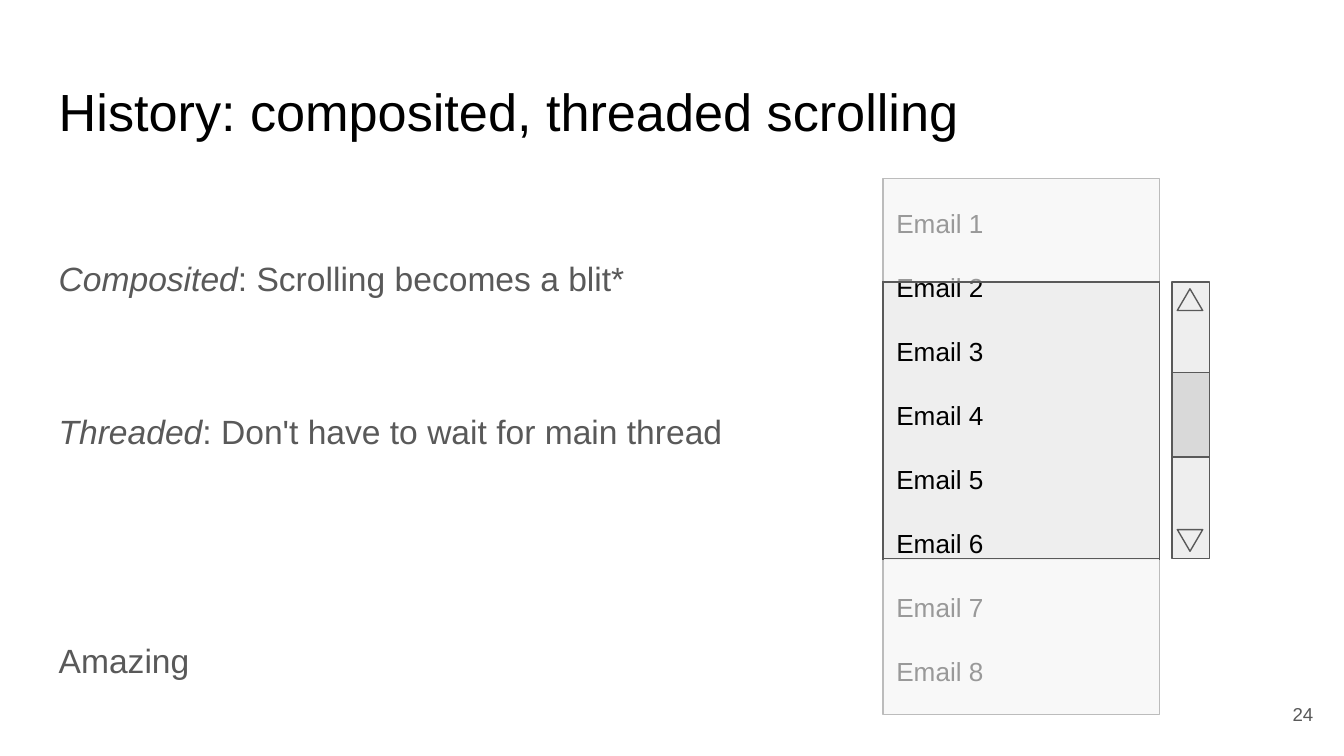
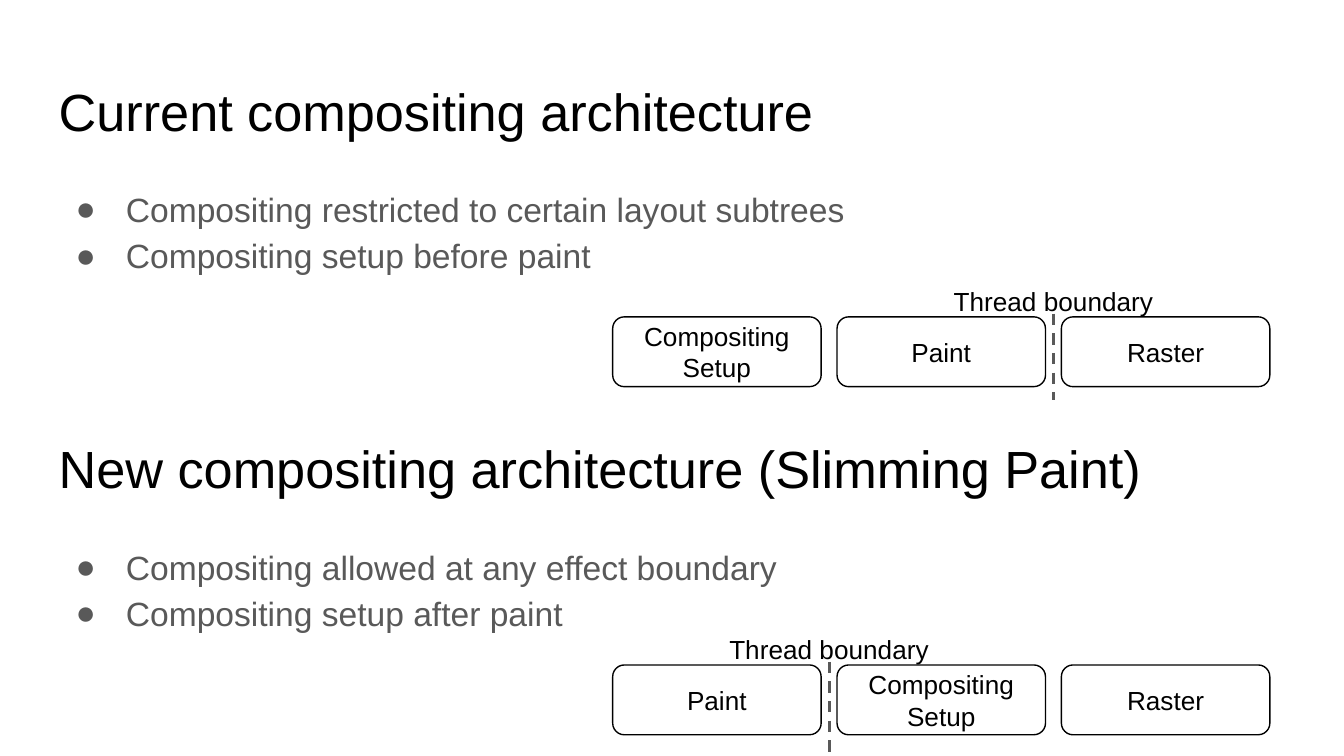
from pptx import Presentation
from pptx.dml.color import RGBColor
from pptx.enum.dml import MSO_LINE_DASH_STYLE as Dash
from pptx.enum.shapes import MSO_CONNECTOR as Connector, MSO_SHAPE as Preset
from pptx.enum.text import MSO_ANCHOR as Anchor, MSO_AUTO_SIZE as AutoSize, PP_ALIGN as Align
from pptx.oxml.ns import qn
from pptx.util import Cm, Pt
from lxml.etree import SubElement

BLACK, WHITE, GRAY, PALE, THUMB = "000000", "FFFFFF", "595959", "EEEEEE", "D9D9D9"
FONT = "Arial"
INSET = 0.25
LEFT, FULL_WIDTH = 0.86, 23.67

TITLE_STYLE = {"size": 28, "color": BLACK}
BODY_STYLE = {"size": 18, "color": GRAY}
LABEL_STYLE = {"size": 14, "color": BLACK}
NUMBER_STYLE = {"size": 10, "color": GRAY}

# Scrolling slide: (italic term, rest of the line, space before in points)
SCROLLING_TITLE = "History: composited, threaded scrolling"
SCROLLING_LINES = [
    ("Composited", ": Scrolling becomes a blit*", 0),
    ("Threaded", ": Don't have to wait for main thread", 57),
    ("", "Amazing", 98),
]
EMAILS = [f"Email {number}" for number in range(1, 9)]
EMAIL_GAP = 17.5
SLIDE_NUMBER = "24"

# (preset, box, fill, line colour, opacity in percent, rotation)
SCROLLER_PARTS = [
    (Preset.RECTANGLE, (16.69, 5.33, 5.23, 5.23), None, GRAY, 100, 0),
    (Preset.RECTANGLE, (22.15, 5.33, 0.71, 5.23), PALE, GRAY, 100, 0),
    (Preset.ISOSCELES_TRIANGLE, (22.25, 5.46, 0.48, 0.41), PALE, GRAY, 100, 0),
    (Preset.ISOSCELES_TRIANGLE, (22.25, 10.01, 0.48, 0.41), PALE, GRAY, 100, 180),
    (Preset.RECTANGLE, (16.66, 2.97, 6.1, 2.34), WHITE, None, 60, 0),
    (Preset.RECTANGLE, (22.15, 7.04, 0.71, 1.6), THUMB, GRAY, 100, 0),
    (Preset.RECTANGLE, (16.66, 10.59, 6.17, 3.1), WHITE, None, 60, 0),
]

# Architecture slide: the thread boundary stands before the stage with that index
ARCHITECTURES = [
    {
        "title": "Current compositing architecture",
        "bullets": ["Compositing restricted to certain layout subtrees",
                    "Compositing setup before paint"],
        "stages": [["Compositing", "Setup"], ["Paint"], ["Raster"]],
        "boundary": 2,
        "title_top": 1.24, "stage_top": 5.99, "boundary_bottom": 7.57,
    },
    {
        "title": "New compositing architecture (Slimming Paint)",
        "bullets": ["Compositing allowed at any effect boundary",
                    "Compositing setup after paint"],
        "stages": [["Paint"], ["Compositing", "Setup"], ["Raster"]],
        "boundary": 1,
        "title_top": 8.0, "stage_top": 12.57, "boundary_bottom": 14.73,
    },
]
STAGE_LEFT, STAGE_WIDTH, STAGE_HEIGHT, STAGE_GAP = 11.58, 3.94, 1.32, 0.3


def rgb(color):
    return RGBColor.from_string(color)


def lengths(box):
    return [Cm(value) for value in box]


def set_frame(shape, anchor=Anchor.TOP, top_inset=INSET):
    frame = shape.text_frame
    settings = {
        "word_wrap": True, "auto_size": AutoSize.NONE, "vertical_anchor": anchor,
        "margin_left": Cm(INSET), "margin_right": Cm(INSET),
        "margin_top": Cm(top_inset), "margin_bottom": Cm(INSET),
    }
    for name, value in settings.items():
        setattr(frame, name, value)
    return frame


def add_run(paragraph, text, style, italic=False):
    run = paragraph.add_run()
    run.text = text
    settings = {"name": FONT, "size": Pt(style["size"]), "italic": italic}
    for name, value in settings.items():
        setattr(run.font, name, value)
    run.font.color.rgb = rgb(style["color"])


def write_lines(frame, lines, style, **paragraph_format):
    """Write one paragraph per line; a line is a list of (text, italic) runs or a string."""
    paragraphs = []
    for index, line in enumerate(lines):
        paragraph = frame.add_paragraph() if index else frame.paragraphs[0]
        for name, value in paragraph_format.items():
            setattr(paragraph, name, value)
        for text, italic in [(line, False)] if isinstance(line, str) else line:
            add_run(paragraph, text, style, italic)
        paragraphs.append(paragraph)
    return paragraphs


def add_text(shapes, box, lines, style, anchor=Anchor.TOP, top_inset=INSET, **paragraph_format):
    frame = set_frame(shapes.add_textbox(*lengths(box)), anchor, top_inset)
    return write_lines(frame, lines, style, **paragraph_format)


def add_preset(shapes, preset, box, fill, line, opacity=100, rotation=0):
    shape = shapes.add_shape(preset, *lengths(box))
    shape.shadow.inherit = False
    shape.rotation = rotation
    if fill:
        shape.fill.solid()
        shape.fill.fore_color.rgb = rgb(fill)
        if opacity < 100:
            color = shape.fill._xPr.find(qn("a:solidFill"))[0]
            SubElement(color, qn("a:alpha"), val=str(opacity * 1000))
    else:
        shape.fill.background()
    if line:
        shape.line.color.rgb = rgb(line)
        shape.line.width = Pt(0.75)
    else:
        shape.line.fill.background()
    return shape


def add_slide(presentation, title):
    slide = presentation.slides.add_slide(presentation.slide_layouts[5])
    placeholder = slide.shapes.title
    box = lengths((LEFT, 1.24, FULL_WIDTH, 1.6))
    for name, value in zip(("left", "top", "width", "height"), box):
        setattr(placeholder, name, value)
    write_lines(set_frame(placeholder), [title], TITLE_STYLE, alignment=Align.LEFT)
    return slide


def add_bullets(shapes, box, lines):
    for paragraph in add_text(shapes, box, lines, BODY_STYLE, line_spacing=1.15):
        properties = paragraph._p.get_or_add_pPr()
        properties.set("marL", str(Cm(1.27)))
        properties.set("indent", str(-Cm(0.95)))
        bullet_color = SubElement(properties, qn("a:buClr"))
        SubElement(bullet_color, qn("a:srgbClr"), val=GRAY)
        SubElement(properties, qn("a:buFont"), typeface=FONT)
        SubElement(properties, qn("a:buChar"), char="●")


def add_boundary(slide, center, stage_top, bottom):
    shapes = slide.shapes.add_group_shape().shapes
    ends = lengths((center, stage_top - 0.06, center, bottom))
    connector = shapes.add_connector(Connector.STRAIGHT, *ends)
    connector.line.color.rgb = rgb(GRAY)
    connector.line.width = Pt(1.5)
    connector.line.dash_style = Dash.DASH
    SubElement(connector._element.spPr, qn("a:effectLst"))
    width = 5.44
    add_text(shapes, (center - width / 2, stage_top - 0.87, width, 1.12),
             ["Thread boundary"], LABEL_STYLE, Anchor.BOTTOM, alignment=Align.CENTER)


def add_pipeline(slide, architecture):
    top = architecture["stage_top"]
    pitch = STAGE_WIDTH + STAGE_GAP
    for index, stage in enumerate(architecture["stages"]):
        box = (STAGE_LEFT + index * pitch, top, STAGE_WIDTH, STAGE_HEIGHT)
        fill = None if stage == ["Raster"] else WHITE
        shape = add_preset(slide.shapes, Preset.ROUNDED_RECTANGLE, box, fill, BLACK)
        write_lines(set_frame(shape, Anchor.MIDDLE), stage, LABEL_STYLE, alignment=Align.CENTER)
    center = STAGE_LEFT + architecture["boundary"] * pitch - STAGE_GAP / 2
    add_boundary(slide, center, top, architecture["boundary_bottom"])


def build_scrolling_slide(presentation):
    slide = add_slide(presentation, SCROLLING_TITLE)
    shapes = slide.shapes
    inbox = add_preset(shapes, Preset.RECTANGLE, (16.69, 3.38, 5.23, 10.13), PALE, GRAY)
    emails = write_lines(set_frame(inbox, Anchor.MIDDLE), EMAILS, LABEL_STYLE,
                         alignment=Align.LEFT)
    for paragraph in emails[1:]:
        paragraph.space_before = Pt(EMAIL_GAP)
    for part in SCROLLER_PARTS:
        add_preset(shapes, *part)

    lines = [[(text, italic) for text, italic in ((term, True), (rest, False)) if text]
             for term, rest, _ in SCROLLING_LINES]
    paragraphs = add_text(shapes, (LEFT, 3.2, 18.95, 9.5), lines, BODY_STYLE,
                          top_inset=1.57, line_spacing=1.15)
    for paragraph, (_, _, gap) in zip(paragraphs, SCROLLING_LINES):
        paragraph.space_before = Pt(gap)
    add_text(shapes, (23.55, 12.95, 1.52, 1.09), [SLIDE_NUMBER], NUMBER_STYLE,
             Anchor.MIDDLE, alignment=Align.RIGHT)


def build_architecture_slide(presentation):
    slide = add_slide(presentation, ARCHITECTURES[0]["title"])
    for index, architecture in enumerate(ARCHITECTURES):
        top = architecture["title_top"]
        if index:
            add_text(slide.shapes, (LEFT, top, FULL_WIDTH, 1.6),
                     [architecture["title"]], TITLE_STYLE)
        add_bullets(slide.shapes, (LEFT, top + 1.97, FULL_WIDTH, 3.48), architecture["bullets"])
    for architecture in ARCHITECTURES:
        add_pipeline(slide, architecture)


def main():
    presentation = Presentation()
    presentation.slide_width, presentation.slide_height = Cm(25.4), Cm(14.29)
    build_scrolling_slide(presentation)
    build_architecture_slide(presentation)
    presentation.save("out.pptx")


if __name__ == "__main__":
    main()
